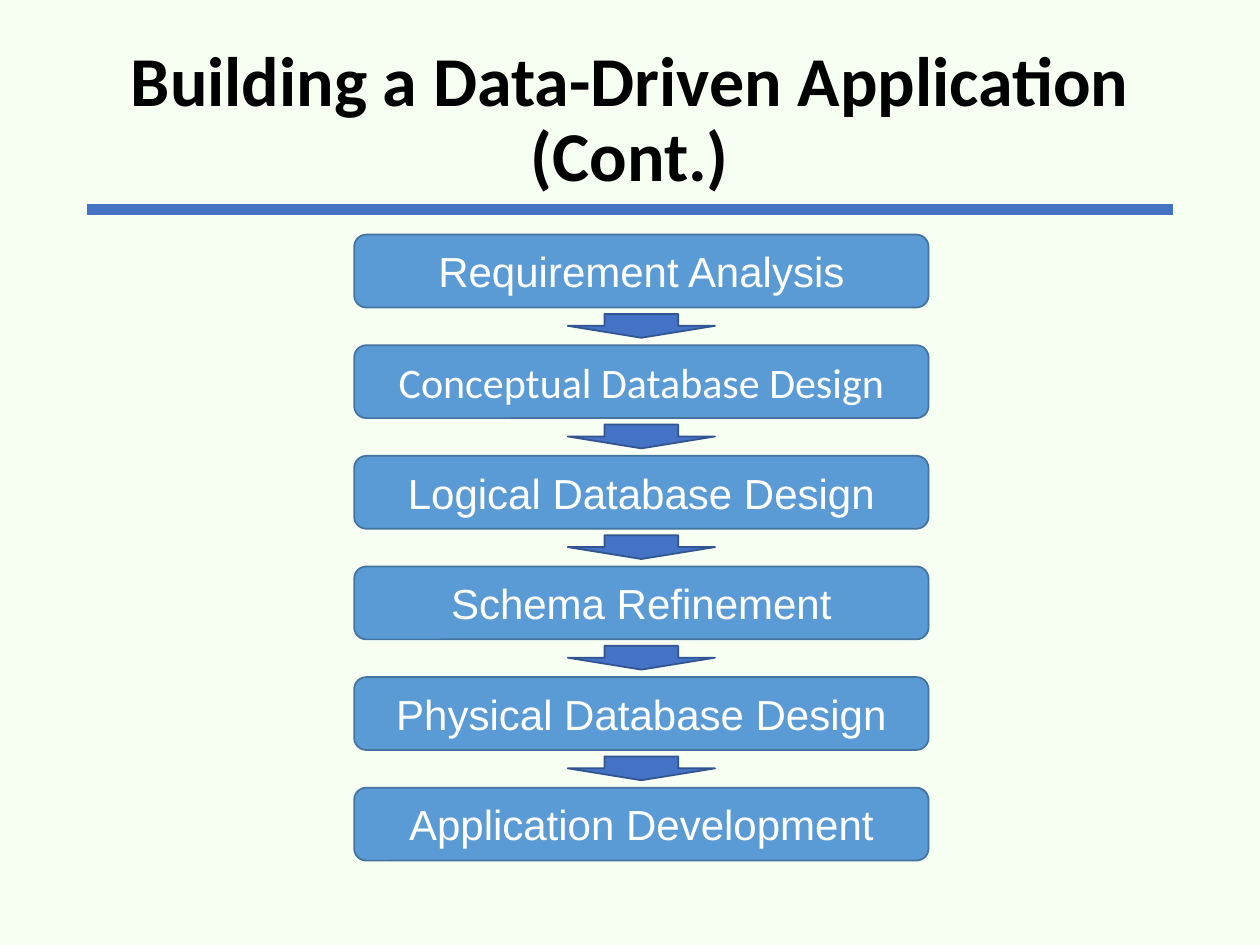
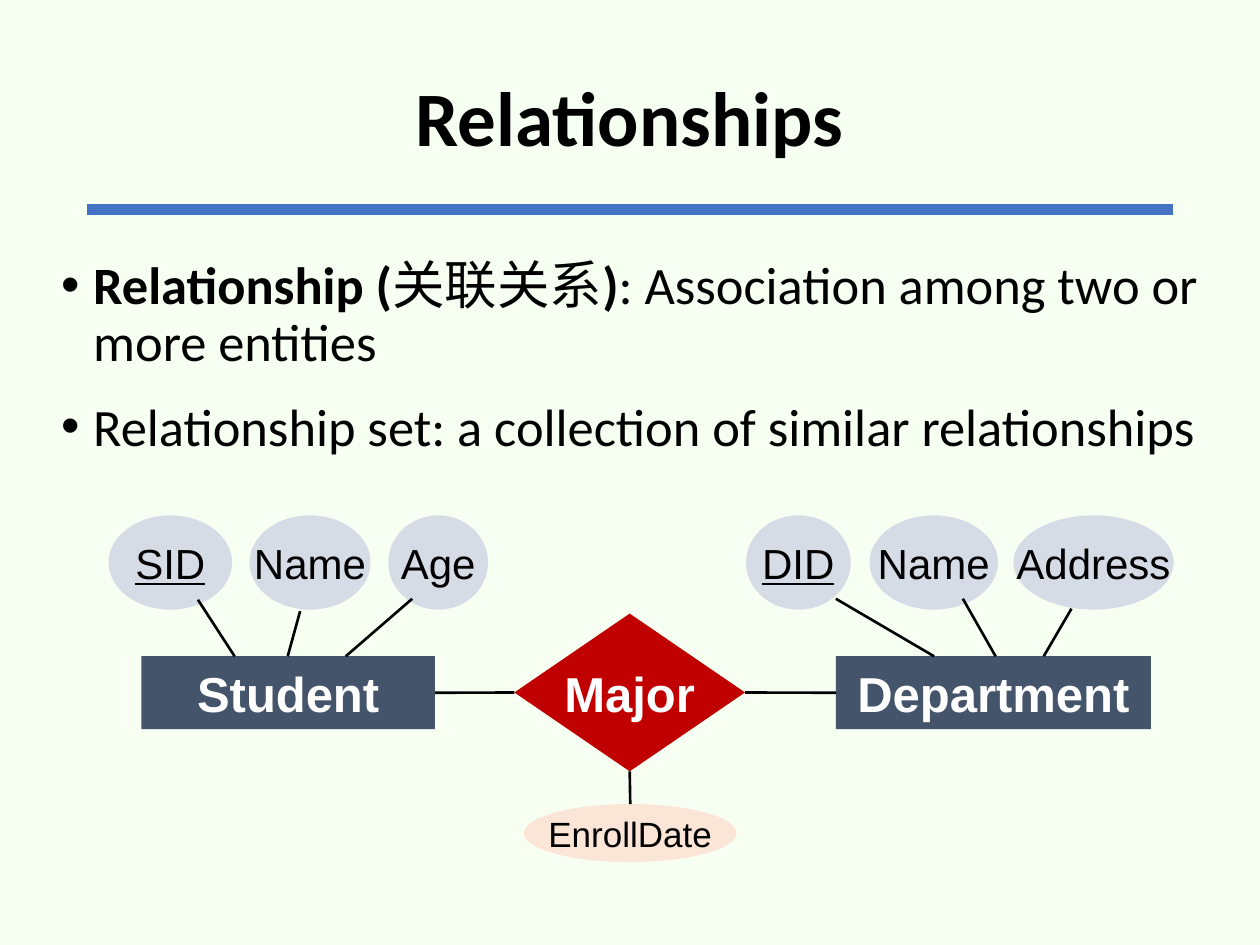
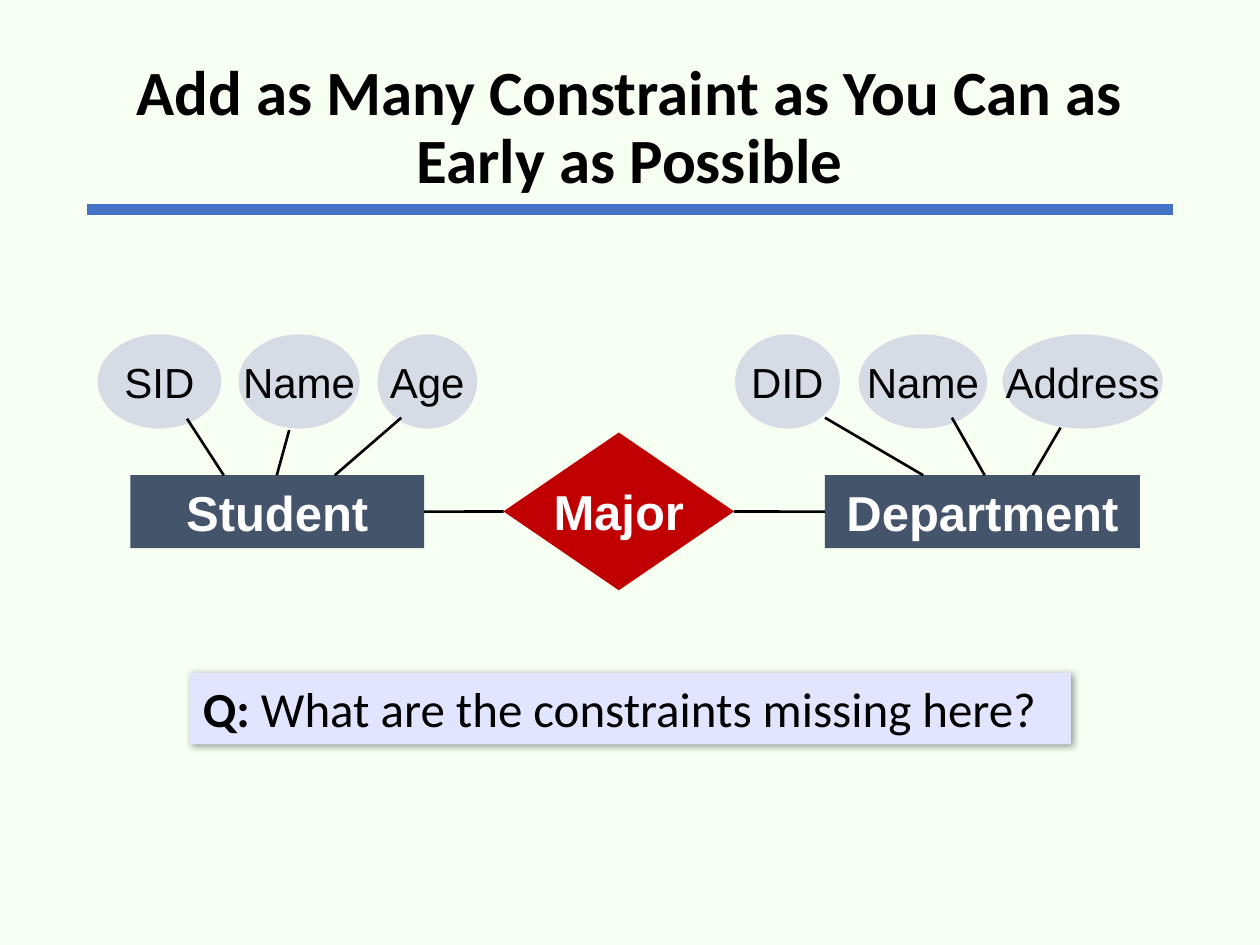
from dataclasses import dataclass

from lxml.etree import SubElement
from pptx import Presentation
from pptx.dml.color import RGBColor
from pptx.enum.shapes import MSO_CONNECTOR, MSO_SHAPE
from pptx.enum.text import MSO_ANCHOR, PP_ALIGN
from pptx.oxml.ns import qn
from pptx.util import Cm, Pt


@dataclass(frozen=True)
class Theme:
    background: str = "F7FFF3"
    ink: str = "000000"
    white: str = "FFFFFF"
    rule: str = "4472C4"
    arrow_edge: str = "325491"
    step: str = "5B9BD5"
    step_edge: str = "43739E"
    entity: str = "44546A"
    attribute: str = "D6DCE5"
    relation: str = "C00000"
    relation_attribute: str = "FBE5D6"
    question: str = "E2E5FF"
    heading_font: str = "Calibri"
    label_font: str = "Arial"
    chinese_font: str = "Noto Sans CJK SC"
    title_size: int = 44
    long_title_size: int = 40
    longest_title_size: int = 36
    body_size: int = 30
    large_size: int = 28
    label_size: int = 24
    small_size: int = 20


THEME = Theme()
TITLE_BOX = (1.75, 0.61, 21.89, 3.68)
LOW_TITLE_BOX = (1.75, 1.02, 21.89, 3.18)
RULE_Y = 4.22
STUDENT_ATTRIBUTES = [
    ("SID", 0, 2.49, (2.54, 1.8, 1.7)),
    ("Name", 2.84, 2.44, (3.61, 3.86, 1.93)),
    ("Age", 5.64, 2.01, (4.78, 6.12, 1.68)),
]
DEPARTMENT_ATTRIBUTES = [
    ("DID", 12.85, 2.11, (16.64, 14.66, 1.68)),
    ("Name", 15.34, 2.59, (17.88, 17.22, 1.68)),
    ("Address", 18.24, 3.23, (18.85, 19.41, 1.88)),
]
KEYS = ("SID", "DID")


def rgb(color):
    return RGBColor.from_string(color)


def lengths(box):
    return [Cm(value) for value in box]


def add_span(para, text, size, font, color=THEME.ink, bold=False, underline=False):
    span = para.add_run()
    span.text = text
    span.font.size = Pt(size)
    span.font.name = font
    span.font.bold = bold
    span.font.underline = underline
    span.font.color.rgb = rgb(color)
    return span


def add_block(slide, kind, box, fill, edge=None):
    block = slide.shapes.add_shape(kind, *lengths(box))
    block.shadow.inherit = False
    block.fill.solid()
    block.fill.fore_color.rgb = rgb(fill)
    if edge:
        block.line.color.rgb = rgb(edge)
        block.line.width = Pt(1)
    else:
        block.line.fill.background()
    return block


def add_label(block, text, size, font=THEME.label_font, wrap=False, **style):
    frame = block.text_frame
    frame.word_wrap = wrap
    frame.vertical_anchor = MSO_ANCHOR.MIDDLE
    para = frame.paragraphs[0]
    para.alignment = PP_ALIGN.CENTER
    add_span(para, text, size, font, **style)
    return para


def add_line(slide, start=(0, 0), end=(0, 0), color=THEME.ink, width=1.5):
    line = slide.shapes.add_connector(MSO_CONNECTOR.STRAIGHT, *lengths(start + end))
    line.line.color.rgb = rgb(color)
    line.line.width = Pt(width)
    SubElement(line._element.spPr, qn("a:effectLst"))
    return line


def join(slide, first, first_side, second, second_side):
    line = add_line(slide)
    line.begin_connect(first, first_side)
    line.end_connect(second, second_side)


def add_titled_slide(deck, title, size, box=TITLE_BOX):
    slide = deck.slides.add_slide(deck.slide_layouts[6])
    left, _, width, _ = box
    add_line(slide, (left, RULE_Y), (left + width, RULE_Y), THEME.rule, 6)
    heading = slide.shapes.add_textbox(*lengths(box))
    para = add_label(heading, title, size, THEME.heading_font, wrap=True, bold=True)
    para.line_spacing = 0.9
    return slide


def add_flow(slide, box, steps):
    left, top, width, height = box
    step_height, arrow_width, arrow_height, arrow_drop = 1.47, 2.97, 0.48, 1.6
    pitch = (height - step_height) / (len(steps) - 1)
    for index, (text, font) in enumerate(steps):
        y = top + index * pitch
        block = add_block(slide, MSO_SHAPE.ROUNDED_RECTANGLE,
                          (left, y, width, step_height), THEME.step, THEME.step_edge)
        add_label(block, text, THEME.label_size, font, wrap=True, color=THEME.white)
        if index < len(steps) - 1:
            arrow_left = left + (width - arrow_width) / 2
            add_block(slide, MSO_SHAPE.DOWN_ARROW,
                      (arrow_left, y + arrow_drop, arrow_width, arrow_height),
                      THEME.rule, THEME.arrow_edge)


def add_entity(slide, origin, name, offset, width, attributes, mark_keys):
    left, top = origin
    entity_top = top + 2.84
    entity = add_block(slide, MSO_SHAPE.RECTANGLE,
                       (left + offset, entity_top, width, 1.47), THEME.entity)
    add_label(entity, name, THEME.large_size, color=THEME.white, bold=True)
    for text, x, oval_width, (foot_x, tip_x, tip_y) in attributes:
        oval = add_block(slide, MSO_SHAPE.OVAL,
                         (left + x, top, oval_width, 1.9), THEME.attribute)
        add_label(oval, text, THEME.label_size, underline=mark_keys and text in KEYS)
        add_line(slide, (left + foot_x, entity_top), (left + tip_x, top + tip_y))
    return entity


def add_major_diagram(slide, origin, mark_keys=False):
    left, top = origin
    student = add_entity(slide, origin, "Student", 0.66, 5.92,
                         STUDENT_ATTRIBUTES, mark_keys)
    department = add_entity(slide, origin, "Department", 14.66, 6.35,
                            DEPARTMENT_ATTRIBUTES, mark_keys)
    major = add_block(slide, MSO_SHAPE.DIAMOND,
                      (left + 8.18, top + 1.98, 4.65, 3.18), THEME.relation)
    add_label(major, "Major", THEME.large_size, color=THEME.white, bold=True)
    join(slide, student, 3, major, 1)
    join(slide, department, 1, major, 3)
    return major


def add_enroll_date(slide, box, major):
    oval = add_block(slide, MSO_SHAPE.OVAL, box, THEME.relation_attribute)
    add_label(oval, "EnrollDate", THEME.small_size)
    join(slide, oval, 0, major, 2)


def add_bullet(para):
    props = para._p.get_or_add_pPr()
    props.set("marL", str(Cm(0.64)))
    props.set("indent", str(-Cm(0.64)))
    SubElement(props, qn("a:buFont"), typeface="Arial")
    SubElement(props, qn("a:buChar"), char="•")


def add_definitions(slide, box):
    frame = slide.shapes.add_textbox(*lengths(box)).text_frame
    frame.word_wrap = True
    size, font = THEME.body_size, THEME.heading_font
    para = frame.paragraphs[0]
    add_bullet(para)
    para.line_spacing = 0.9
    add_span(para, "Relationship (", size, font, bold=True)
    chinese = add_span(para, "关联关系", size, THEME.chinese_font)
    SubElement(chinese._r.get_or_add_rPr(), qn("a:ea"), typeface=THEME.chinese_font)
    add_span(para, ")", size, font, bold=True)
    add_span(para, ": Association among two or more entities", size, font)
    para = frame.add_paragraph()
    add_bullet(para)
    para.space_before = Pt(12)
    add_span(para, "Relationship set: a collection of similar relationships", size, font)


def add_question(slide, box):
    panel = add_block(slide, MSO_SHAPE.RECTANGLE, box, THEME.question)
    effects = panel._element.spPr.find(qn("a:effectLst"))
    shadow = SubElement(effects, qn("a:outerShdw"), blurRad=str(Pt(4)), dist=str(Pt(1)),
                        dir="2700000", algn="tl", rotWithShape="0")
    shade = SubElement(shadow, qn("a:srgbClr"), val=THEME.ink)
    SubElement(shade, qn("a:alpha"), val="40000")
    frame = panel.text_frame
    frame.word_wrap = True
    frame.vertical_anchor = MSO_ANCHOR.TOP
    para = frame.paragraphs[0]
    para.alignment = PP_ALIGN.LEFT
    add_span(para, "Q: ", THEME.large_size, THEME.heading_font, bold=True)
    add_span(para, "What are the constraints missing here?",
             THEME.large_size, THEME.heading_font)


def build_process_slide(deck):
    slide = add_titled_slide(deck, "Building a Data-Driven Application (Cont.)",
                             THEME.long_title_size)
    add_flow(slide, (7.14, 4.73, 11.58, 12.62), [
        ("Requirement Analysis", THEME.label_font),
        ("Conceptual Database Design", THEME.heading_font),
        ("Logical Database Design", THEME.label_font),
        ("Schema Refinement", THEME.label_font),
        ("Physical Database Design", THEME.label_font),
        ("Application Development", THEME.label_font),
    ])


def build_relationships_slide(deck):
    slide = add_titled_slide(deck, "Relationships", THEME.title_size)
    add_definitions(slide, (0.99, 5.11, 23.75, 12.07))
    major = add_major_diagram(slide, (2.19, 10.39), mark_keys=True)
    add_enroll_date(slide, (10.56, 16.21, 4.29, 1.17), major)


def build_constraints_slide(deck):
    slide = add_titled_slide(deck, "Add as Many Constraint as You Can as Early as Possible",
                             THEME.longest_title_size, LOW_TITLE_BOX)
    add_major_diagram(slide, (1.97, 6.74))
    add_question(slide, (3.84, 13.56, 17.75, 1.45))


def main():
    deck = Presentation()
    deck.slide_width, deck.slide_height = Cm(25.4), Cm(19.05)
    backdrop = deck.slide_master.background.fill
    backdrop.solid()
    backdrop.fore_color.rgb = rgb(THEME.background)
    build_process_slide(deck)
    build_relationships_slide(deck)
    build_constraints_slide(deck)
    deck.save("out.pptx")


if __name__ == "__main__":
    main()
